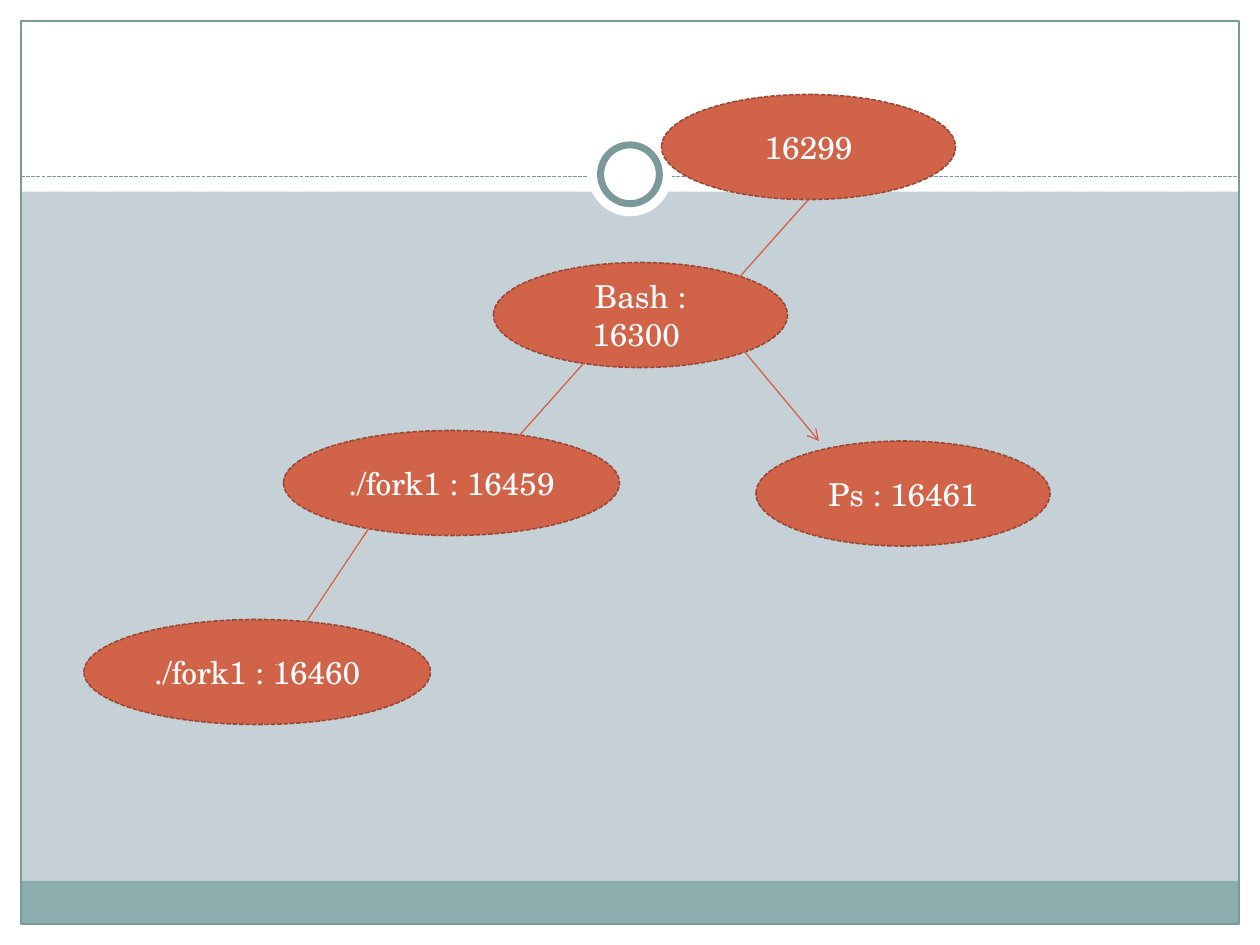
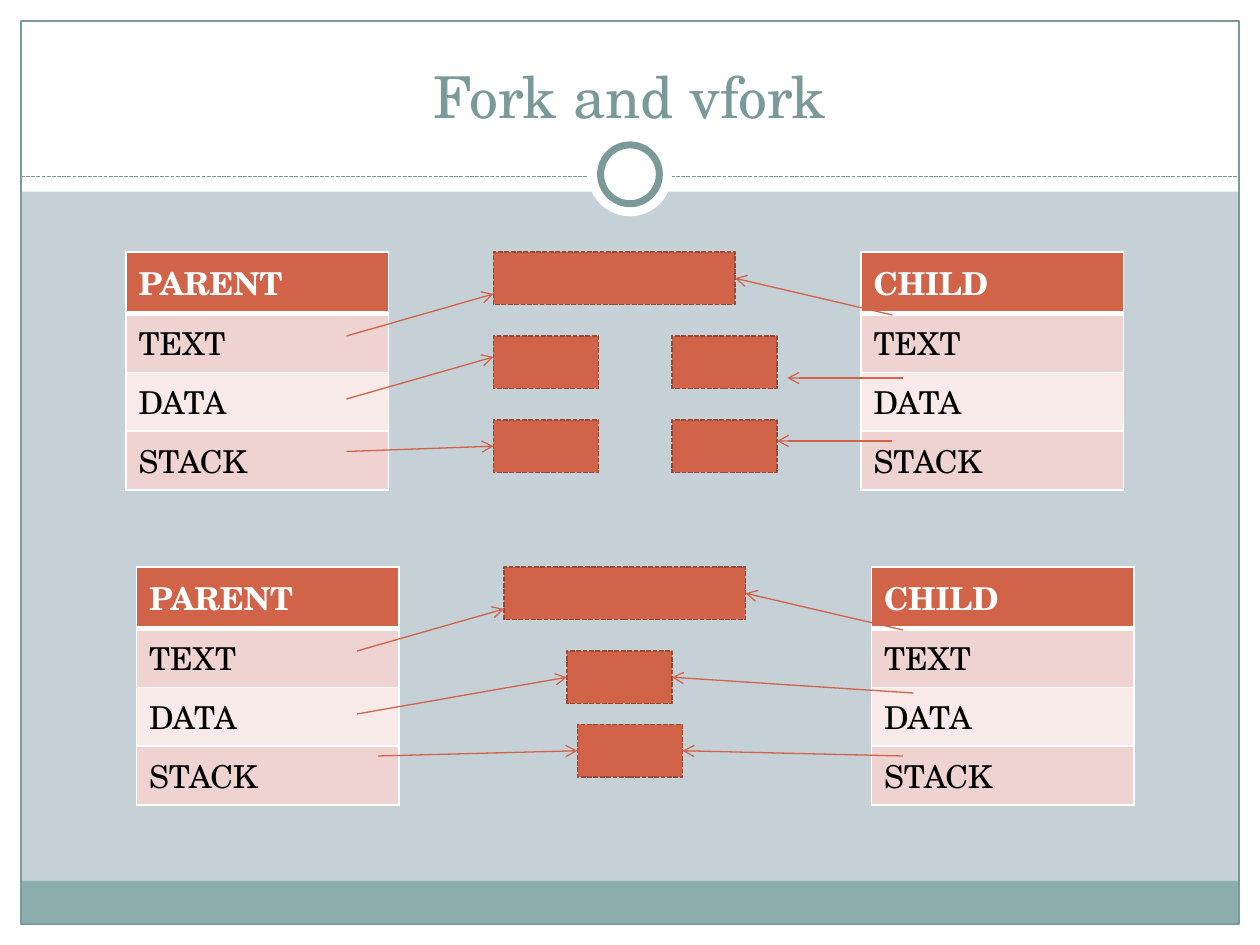
import dataclasses

import lxml.etree
import pptx
import pptx.dml.color
import pptx.enum.dml
import pptx.enum.shapes
import pptx.enum.text
import pptx.oxml.ns
import pptx.util

Kind = pptx.enum.shapes.MSO_SHAPE
Dash = pptx.enum.dml.MSO_LINE_DASH_STYLE
Align = pptx.enum.text.PP_ALIGN
Anchor = pptx.enum.text.MSO_ANCHOR
qn = pptx.oxml.ns.qn

LEFT, RIGHT = 1, 3  # connection sites of a rectangle


@dataclasses.dataclass(frozen=True)
class Theme:
    font: str = "TeX Gyre Schola"
    title: int = 33
    body: int = 18
    thin: float = 0.75
    back: str = "C5D1D7"
    white: str = "FFFFFF"
    black: str = "000000"
    band: str = "8CADAE"
    teal: str = "7C999A"
    rust: str = "D16349"
    edge: str = "9B4936"
    rows: tuple = ("EED3D0", "F7EAE9")


def grid(n):
    """Length of n grid steps; the slide is 120 by 90 steps."""
    return pptx.util.Cm(n * 25.4 / 120)


def rgb(code):
    return pptx.dml.color.RGBColor.from_string(code)


def write(frame, text, font, size, color, bold=False, align=Align.LEFT,
          anchor=Anchor.MIDDLE):
    frame.word_wrap = True
    frame.vertical_anchor = anchor
    para = frame.paragraphs[0]
    para.alignment = align
    run = para.add_run()
    run.text = text
    run.font.name = font
    run.font.size = pptx.util.Pt(size)
    run.font.bold = bold
    run.font.color.rgb = rgb(color)


class Deck:
    def __init__(self, theme):
        self.theme = theme
        self.prs = pptx.Presentation()
        self.prs.slide_width, self.prs.slide_height = grid(120), grid(90)
        self.slide = None

    def page(self, title=None):
        layout = self.prs.slide_layouts[5 if title else 6]
        self.slide = self.prs.slides.add_slide(layout)
        if title:
            head = self.slide.shapes.title
            head.left, head.top = grid(4), grid(3)
            head.width, head.height = grid(112), grid(10)
            write(head.text_frame, title, self.theme.font, self.theme.title,
                  self.theme.teal, align=Align.CENTER, anchor=Anchor.BOTTOM)

    def shape(self, kind, x, y, w, h, fill=None, line=None, width=None, dash=None):
        item = self.slide.shapes.add_shape(kind, grid(x), grid(y), grid(w), grid(h))
        item.shadow.inherit = False
        if fill:
            item.fill.solid()
            item.fill.fore_color.rgb = rgb(fill)
        else:
            item.fill.background()
        if line:
            self.stroke(item, line, width, dash)
        else:
            item.line.fill.background()
        return item

    def stroke(self, item, color, width, dash=None):
        item.line.color.rgb = rgb(color)
        item.line.width = pptx.util.Pt(width)
        if dash:
            item.line.dash_style = dash

    def block(self, kind, x, y, w, h):
        return self.shape(kind, x, y, w, h, self.theme.rust, self.theme.edge,
                          0.9, Dash.SQUARE_DOT)

    def node(self, text, x, y, w=28):
        item = self.block(Kind.OVAL, x, y, w, 10)
        write(item.text_frame, text, self.theme.font, self.theme.body,
              self.theme.white, align=Align.CENTER)

    def box(self, x, y, w=10):
        return self.block(Kind.RECTANGLE, x, y, w, 5)

    def link(self, start, end, color=None, dash=None, arrow=False):
        """Draw a line from a point to a point or to a (shape, site) pair."""
        joined = not isinstance(end[0], (int, float))
        stop = start if joined else end
        item = self.slide.shapes.add_connector(
            pptx.enum.shapes.MSO_CONNECTOR.STRAIGHT, *map(grid, (*start, *stop)))
        if joined:
            item.end_connect(*end)
        self.stroke(item, color or self.theme.rust, self.theme.thin, dash)
        props = item._element.spPr
        if arrow:
            lxml.etree.SubElement(props.find(qn("a:ln")), qn("a:tailEnd"), type="arrow")
        lxml.etree.SubElement(props, qn("a:effectLst"))
        return item

    def arrow(self, start, end):
        self.link(start, end, arrow=True)

    def table(self, x, y, words):
        t = self.theme
        high = 4.87
        table = self.slide.shapes.add_table(
            len(words), 1, grid(x), grid(y), grid(25), grid(high * len(words))).table
        table.horz_banding = False
        for i, word in enumerate(words):
            table.rows[i].height = grid(high)
            cell = table.cell(i, 0)
            top, low = 3 if i == 1 else 1, 3 if i == 0 else 1
            self.border(cell, L=1, R=1, T=top, B=low)
            cell.fill.solid()
            cell.fill.fore_color.rgb = rgb(t.rows[(i - 1) % 2] if i else t.rust)
            write(cell.text_frame, word, t.font, t.body,
                  t.black if i else t.white, bold=i == 0, anchor=Anchor.TOP)

    def border(self, cell, **sides):
        props = cell._tc.get_or_add_tcPr()
        for side, width in sides.items():
            line = lxml.etree.SubElement(props, qn(f"a:ln{side}"),
                                         w=str(pptx.util.Pt(width)))
            fill = lxml.etree.SubElement(line, qn("a:solidFill"))
            lxml.etree.SubElement(fill, qn("a:srgbClr"), val=self.theme.white)

    def frame(self):
        """Draw the shared bands and ring, then move them to the master."""
        t = self.theme
        rect, oval = Kind.RECTANGLE, Kind.OVAL
        edges = [(0, 88, 120, 2), (0, 0, 120, 18.25), (0, 0, 2, 90), (118, 0, 2, 90)]
        items = [self.shape(rect, *area, t.white) for area in edges]
        items += [
            self.shape(rect, 2, 83.9, 116, 4.1, t.band),
            self.shape(rect, 2, 2, 116, 86, None, t.teal, t.thin),
            self.link((2, 16.8), (118, 16.8), t.teal, Dash.SQUARE_DOT),
            self.shape(oval, 56, 12.6, 8, 8, t.white),
            self.shape(oval, 57.2, 13.8, 5.6, 5.6, t.white, t.teal, 4),
        ]
        master = self.prs.slide_master
        master.background.fill.solid()
        master.background.fill.fore_color.rgb = rgb(t.back)
        tree = master.shapes._spTree
        for i, item in enumerate(items):
            item._element.xpath(".//p:cNvPr")[0].set("id", str(100 + i))
            tree.insert(2 + i, item._element)

    def panel(self, x, y):
        """Draw both process tables and the text segment they share."""
        for dx, name in ((0, "PARENT"), (70, "CHILD")):
            self.table(x + dx, y, (name, "TEXT", "DATA", "STACK"))
        text = self.box(x + 35, y, 23)
        self.arrow((x + 21, y + 8), (x + 35, y + 4))
        self.arrow((x + 73, y + 6), (text, RIGHT))


def tree(deck):
    deck.page()
    deck.frame()
    deck.node("./fork1 : 16460", 8, 59, 33)
    deck.node("Bash : 16300 ", 47, 25)
    deck.node("16299", 63, 9)
    deck.node("./fork1 : 16459", 27, 41, 32)
    deck.node("Ps : 16461", 72, 42)
    deck.link((77, 19), (69, 28))
    deck.link((57, 33), (49, 42))
    deck.link((36, 49), (26, 64))
    deck.arrow((68, 30), (78, 42))


def forks(deck):
    deck.page("Fork and vfork")

    deck.panel(12, 24)
    boxes = [deck.box(x, y) for y in (32, 40) for x in (47, 64)]
    deck.arrow((33, 38), (47, 34))
    deck.arrow((33, 43), (boxes[2], LEFT))
    deck.arrow((86, 36), (75, 36))
    deck.arrow((85, 42), (74, 42))

    deck.panel(13, 54)
    data, stack = deck.box(54, 62), deck.box(55, 69)
    deck.arrow((34, 68), (data, LEFT))
    deck.arrow((87, 66), (data, RIGHT))
    deck.arrow((36, 72), (stack, LEFT))
    deck.arrow((86, 72), (stack, RIGHT))


def main():
    deck = Deck(Theme())
    tree(deck)
    forks(deck)
    deck.prs.save("out.pptx")


if __name__ == "__main__":
    main()
